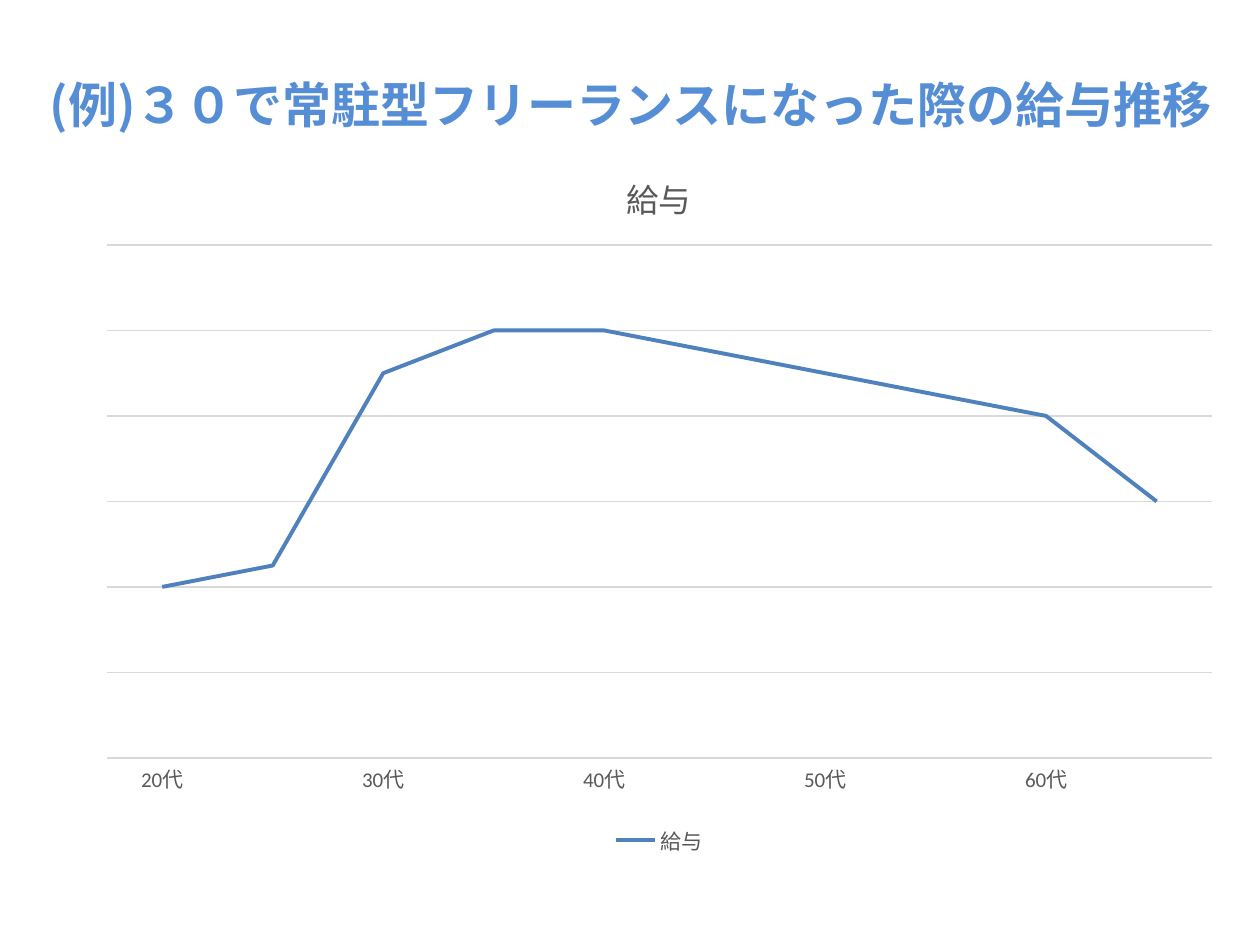
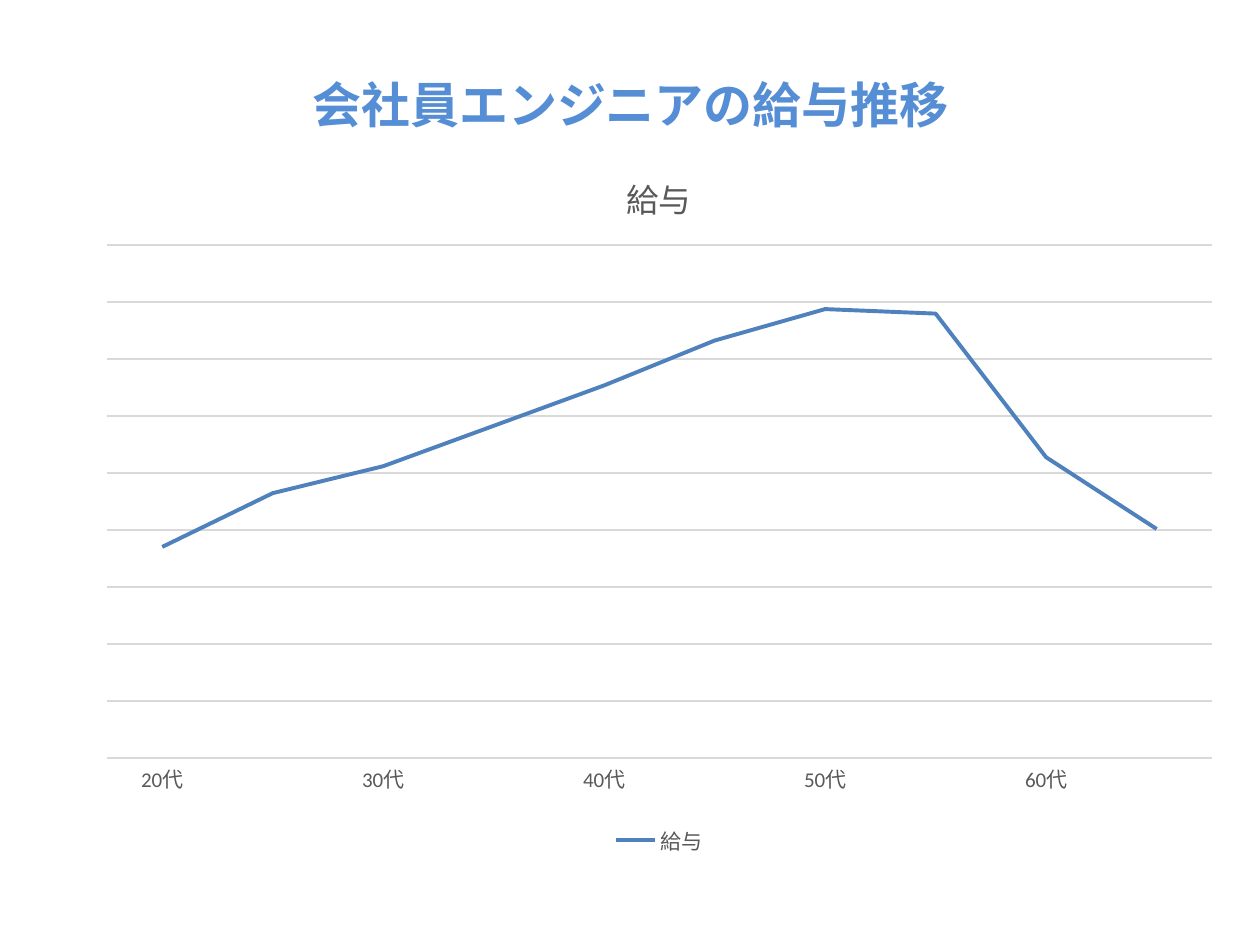
from dataclasses import dataclass

from lxml import etree
from pptx import Presentation
from pptx.chart.data import CategoryChartData
from pptx.dml.color import RGBColor
from pptx.enum.chart import XL_CHART_TYPE, XL_LEGEND_POSITION, XL_TICK_MARK
from pptx.enum.text import MSO_ANCHOR, MSO_AUTO_SIZE, PP_ALIGN
from pptx.oxml.ns import qn
from pptx.util import Emu, Pt

LINE = XL_CHART_TYPE.LINE
BOTTOM = XL_LEGEND_POSITION.BOTTOM
NO_TICK = XL_TICK_MARK.NONE
MIDDLE = MSO_ANCHOR.MIDDLE
NO_AUTOFIT = MSO_AUTO_SIZE.NONE
CENTER = PP_ALIGN.CENTER

SERIES_NAME = "給与"
AGES = ["20代", "", "30代", "", "40代", "", "50代", "", "60代", ""]
SALARY_SLIDES = [
    {"title": "(例)３０で常駐型フリーランスになった際の給与推移",
     "salaries": [40, 45, 90, 100, 100, 95, 90, 85, 80, 60],
     "grid_step": 20, "grid_rows": 6},
    {"title": "会社員エンジニアの給与推移",
     "salaries": [47, 59, 65, 74, 83, 93, 100, 99, 67, 51],
     "grid_step": 12.7, "grid_rows": 9},
]

EMU_PER_PX = 914400 // 126
SLIDE_SIZE = (1260, 945)
TITLE_BOX = (25, 76, 1211, 67)
CHART_BOX = (84, 144, 1150, 717)
PLOT_BOX = (107, 245, 1105, 513)


@dataclass(frozen=True)
class Theme:
    title_color: RGBColor = RGBColor(0x55, 0x8E, 0xD5)
    label_color: RGBColor = RGBColor(0x59, 0x59, 0x59)
    grid_color: RGBColor = RGBColor(0xD9, 0xD9, 0xD9)
    series_color: RGBColor = RGBColor(0x4F, 0x81, 0xBD)
    title_font: str = "Noto Sans CJK JP"
    chart_font: str = "Calibri"
    title_size: float = 28
    chart_title_size: float = 18.6
    label_size: float = 12
    grid_width: float = 0.75
    series_width: float = 2.25
    title_spacing: float = 0.82


THEME = Theme()


def px(*lengths):
    return [Emu(length * EMU_PER_PX) for length in lengths]


def style_font(font, name, size, color, bold=False):
    font.name, font.size, font.bold = name, Pt(size), bold
    font.color.rgb = color


def style_chart_font(font, size=THEME.label_size):
    style_font(font, THEME.chart_font, size, THEME.label_color)


def style_line(line, color, width):
    line.color.rgb = color
    line.width = Pt(width)


def set_title(slide, text):
    title = slide.shapes.title
    title.left, title.top, title.width, title.height = px(*TITLE_BOX)
    frame = title.text_frame
    frame.text = text
    frame.word_wrap = True
    frame.auto_size = NO_AUTOFIT
    frame.vertical_anchor = MIDDLE
    paragraph = frame.paragraphs[0]
    paragraph.alignment = CENTER
    paragraph.line_spacing = THEME.title_spacing
    style_font(paragraph.font, THEME.title_font, THEME.title_size,
               THEME.title_color, bold=True)
    # East Asian glyphs take their typeface from a separate element.
    latin = paragraph.font._element.find(qn("a:latin"))
    east_asian = etree.Element(qn("a:ea"), typeface=THEME.title_font)
    latin.addnext(east_asian)


def fix_plot_area(chart):
    """Pin the inner plot area to PLOT_BOX, as fractions of the chart."""
    left, top, width, height = CHART_BOX
    plot_left, plot_top, plot_width, plot_height = PLOT_BOX
    settings = {
        "layoutTarget": "inner", "xMode": "edge", "yMode": "edge",
        "x": (plot_left - left) / width, "y": (plot_top - top) / height,
        "w": plot_width / width, "h": plot_height / height,
    }
    plot_area = chart._chartSpace.chart.plotArea
    layout = plot_area.find(qn("c:layout"))
    if layout is None:
        layout = etree.Element(qn("c:layout"))
        plot_area.insert(0, layout)
    manual = etree.SubElement(layout, qn("c:manualLayout"))
    for tag, value in settings.items():
        etree.SubElement(manual, qn(f"c:{tag}"), val=str(value))


def add_salary_chart(slide, salaries, grid_step, grid_rows):
    salary_data = CategoryChartData()
    salary_data.categories = AGES
    salary_data.add_series(SERIES_NAME, salaries)
    chart = slide.shapes.add_chart(LINE, *px(*CHART_BOX), salary_data).chart
    style_chart_font(chart.font)

    chart.has_title = True
    chart.chart_title.include_in_layout = False
    heading = chart.chart_title.text_frame
    heading.text = SERIES_NAME
    style_chart_font(heading.paragraphs[0].font, THEME.chart_title_size)

    chart.has_legend = True
    chart.legend.position = BOTTOM
    chart.legend.include_in_layout = False
    style_chart_font(chart.legend.font)

    age_axis = chart.category_axis
    age_axis.major_tick_mark = age_axis.minor_tick_mark = NO_TICK
    style_chart_font(age_axis.tick_labels.font)
    style_line(age_axis.format.line, THEME.grid_color, THEME.grid_width)

    salary_axis = chart.value_axis
    salary_axis.visible = False
    salary_axis.minimum_scale = 0
    salary_axis.maximum_scale = round(grid_step * grid_rows, 2)
    salary_axis.major_unit = grid_step
    salary_axis.has_major_gridlines = True
    style_line(salary_axis.major_gridlines.format.line,
               THEME.grid_color, THEME.grid_width)

    plot = chart.plots[0]
    plot.vary_by_categories = False
    salary_line = plot.series[0]
    salary_line.smooth = False
    style_line(salary_line.format.line, THEME.series_color, THEME.series_width)
    fix_plot_area(chart)


def main():
    deck = Presentation()
    deck.slide_width, deck.slide_height = px(*SLIDE_SIZE)
    title_only = deck.slide_layouts.get_by_name("Title Only")
    for content in SALARY_SLIDES:
        slide = deck.slides.add_slide(title_only)
        set_title(slide, content["title"])
        add_salary_chart(slide, content["salaries"],
                         content["grid_step"], content["grid_rows"])
    deck.save("out.pptx")


if __name__ == "__main__":
    main()
